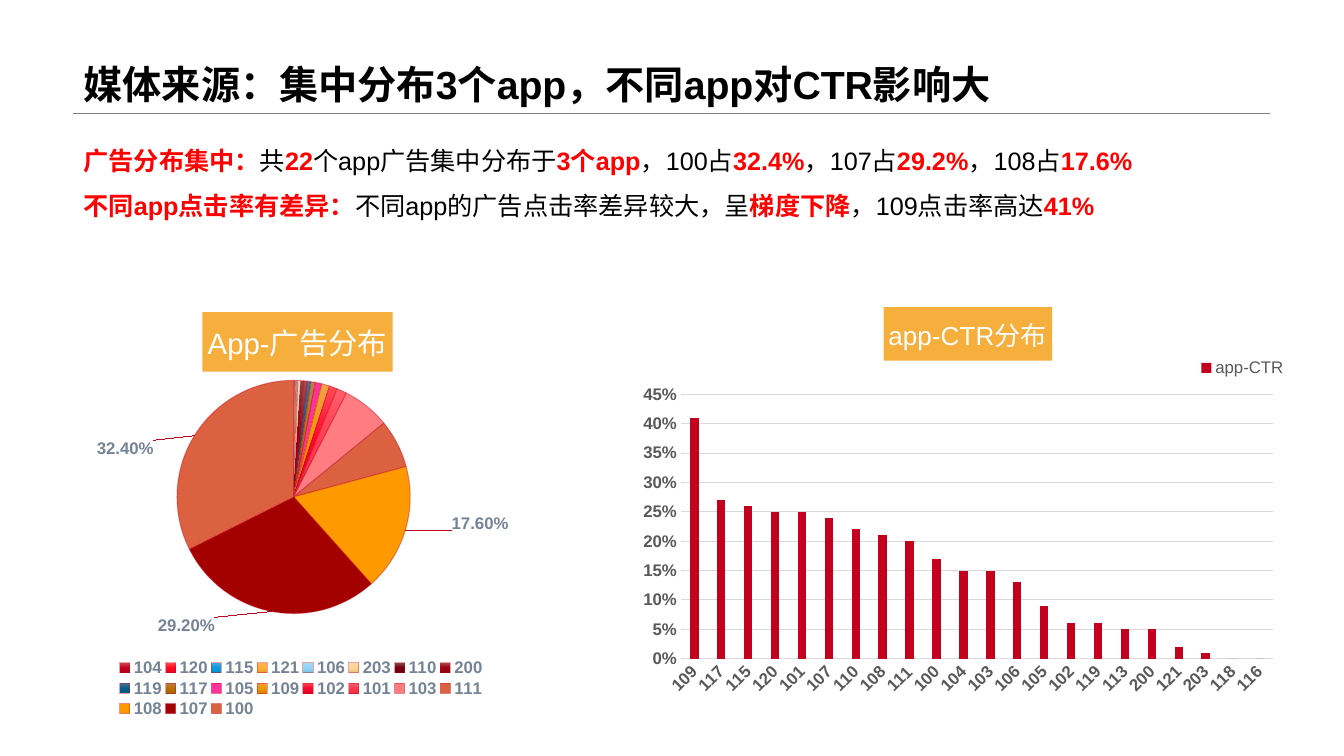
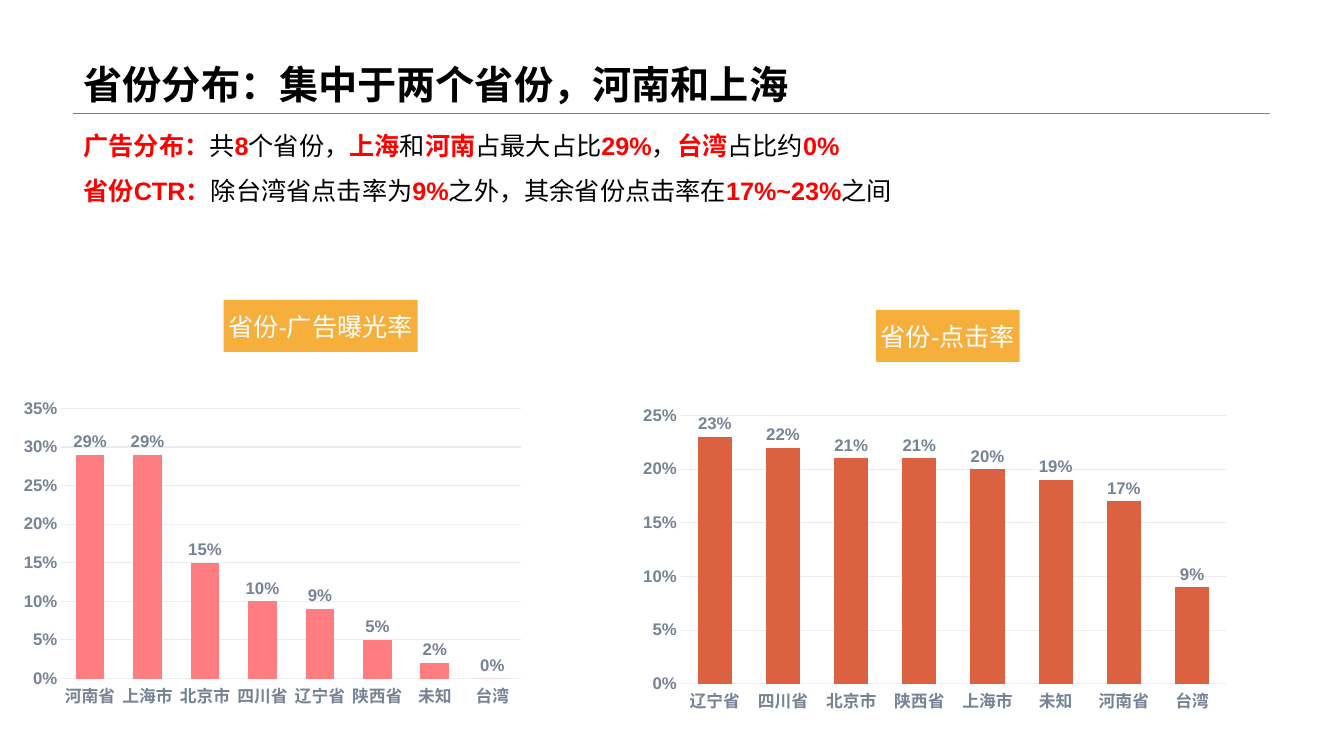
import copy

import pptx
import pptx.chart.data
import pptx.dml.color
import pptx.enum.chart
import pptx.enum.lang
import pptx.enum.shapes
import pptx.enum.text
import pptx.oxml
import pptx.oxml.ns
import pptx.util

RGB = pptx.dml.color.RGBColor
BLACK = RGB(0x00, 0x00, 0x00)
WHITE = RGB(0xFF, 0xFF, 0xFF)
RED = RGB(0xFF, 0x00, 0x00)
RULE_GRAY = RGB(0x80, 0x80, 0x80)
AMBER = RGB(0xF6, 0xAE, 0x3C)
CRIMSON = RGB(0xC4, 0x00, 0x1F)
PINK = RGB(0xFF, 0x7C, 0x80)
RUST = RGB(0xDC, 0x61, 0x40)
SLATE = RGB(0x76, 0x83, 0x95)
DARK_GRAY = RGB(0x59, 0x59, 0x59)
LIGHT_GRAY = RGB(0xD9, 0xD9, 0xD9)
PALE_GRAY = RGB(0xEA, 0xEC, 0xEF)

FONT_NAME = "Arial"
EMU_PER_PX = 9525
SLIDE_SIZE = (1280, 720)
TITLE_BOX = (70, 0, 1140, 108)

APP_SHARES = {
    "104": 0, "120": 0.001, "115": 0.001, "121": 0.002, "106": 0.002,
    "203": 0.004, "110": 0.004, "200": 0.005, "119": 0.005, "117": 0.006,
    "105": 0.009, "109": 0.011, "102": 0.011, "101": 0.014, "103": 0.066,
    "111": 0.067, "108": 0.176, "107": 0.292, "100": 0.324,
}
APP_COLORS = [
    "CC4B4F C4001F AE001C", "FF4C52 FF0A24 E5071E", "4DA5E0 0E9CE1 048ED0",
    "F8B75D FEB033 E59D2A", "A3DAF6 90D6F8 7AC0E2", "FCDBA6 FFD693 E5BF80",
    "864B4C 760013 690011", "AA4B4C 9F0011 8D000F", "4C7191 095E87 03557D",
    "BA804B B67101 A36400", "FF3399", "EFA04B F19600 D68500",
    "FF4B55 FF042C E50125", "FF5E6B FF3B50 E53245", "FF7C80", "DC6140",
    "FF9900", "A40000", "DC6140",
]
SHARE_LABEL_OFFSETS = {"108": (0.08, -0.04), "107": (-0.11, 0), "100": (-0.07, 0.06)}
APP_CTR = {
    "109": 0.41, "117": 0.27, "115": 0.26, "120": 0.25, "101": 0.25,
    "107": 0.24, "110": 0.22, "108": 0.21, "111": 0.2, "100": 0.17,
    "104": 0.15, "103": 0.15, "106": 0.13, "105": 0.09, "102": 0.06,
    "119": 0.06, "113": 0.05, "200": 0.05, "121": 0.02, "203": 0.01,
    "118": 0, "116": 0,
}
PROVINCE_SHARES = {
    "河南省": 0.29, "上海市": 0.29, "北京市": 0.15, "四川省": 0.1,
    "辽宁省": 0.09, "陕西省": 0.05, "未知": 0.02, "台湾": 0,
}
PROVINCE_CTR = {
    "辽宁省": 0.23, "四川省": 0.22, "北京市": 0.21, "陕西省": 0.21,
    "上海市": 0.2, "未知": 0.19, "河南省": 0.17, "台湾": 0.09,
}


def px(*lengths):
    return [pptx.util.Emu(length * EMU_PER_PX) for length in lengths]


def style_font(font, size, color, bold=False):
    font.name = FONT_NAME
    font.size = pptx.util.Pt(size)
    font.bold = bold
    font.color.rgb = color
    font.language_id = pptx.enum.lang.MSO_LANGUAGE_ID.SIMPLIFIED_CHINESE


def style_line(line, color, width=0.75):
    line.color.rgb = color
    line.width = pptx.util.Pt(width)


def add_titled_slide(presentation, text):
    slide = presentation.slides.add_slide(presentation.slide_layouts[5])
    title = slide.shapes.title
    title.left, title.top, title.width, title.height = px(*TITLE_BOX)
    frame = title.text_frame
    frame.text = text
    frame.word_wrap = True
    frame.auto_size = pptx.enum.text.MSO_AUTO_SIZE.NONE
    frame.vertical_anchor = pptx.enum.text.MSO_ANCHOR.BOTTOM
    paragraph = frame.paragraphs[0]
    paragraph.alignment = pptx.enum.text.PP_ALIGN.LEFT
    paragraph.line_spacing = 0.9
    style_font(paragraph.runs[0].font, 28, BLACK, True)

    left, top, width, height = TITLE_BOX
    bottom = top + height
    rule = slide.shapes.add_connector(
        pptx.enum.shapes.MSO_CONNECTOR.STRAIGHT, *px(left, bottom, left + width, bottom))
    style_line(rule.line, RULE_GRAY, 0.25)
    properties = rule._element.spPr
    properties.append(properties.makeelement(pptx.oxml.ns.qn("a:effectLst"), {}))
    return slide


def add_findings(slide, box, findings):
    frame = slide.shapes.add_textbox(*px(*box)).text_frame
    frame.word_wrap = True
    for index, (line_spacing, phrases) in enumerate(findings):
        paragraph = frame.add_paragraph() if index else frame.paragraphs[0]
        paragraph.line_spacing = line_spacing
        for position, phrase in enumerate(phrases):
            emphasized = position % 2 == 0
            run = paragraph.add_run()
            run.text = phrase
            style_font(run.font, 18, RED if emphasized else BLACK, emphasized)


def set_layout(parent, index, x, y, width=None, height=None, inner=False, absolute=True):
    for existing in parent.findall(pptx.oxml.ns.qn("c:layout")):
        parent.remove(existing)
    settings = [("layoutTarget", "inner")] if inner else []
    if absolute:
        settings += [("xMode", "edge"), ("yMode", "edge")]
    settings += [("x", x), ("y", y)]
    if width is not None:
        settings += [("w", width), ("h", height)]
    items = "".join(f'<c:{name} val="{value}"/>' for name, value in settings)
    layout = pptx.oxml.parse_xml(
        f'<c:layout {pptx.oxml.ns.nsdecls("c")}><c:manualLayout>{items}'
        "</c:manualLayout></c:layout>")
    parent.insert(index, layout)


def add_chart(slide, kind, box, data, series_name, number_format, plot_layout):
    chart_data = pptx.chart.data.CategoryChartData(number_format=number_format)
    chart_data.categories = list(data)
    chart_data.add_series(series_name, list(data.values()))
    chart = slide.shapes.add_chart(kind, *px(*box), chart_data).chart
    style_font(chart.font, 10, BLACK)
    chart.has_legend = False
    set_layout(chart._chartSpace.chart.plotArea, 0, *plot_layout, inner=True)
    return chart


def add_chart_title(chart, text, size, x, y):
    chart.has_title = True
    title = chart.chart_title
    title.text_frame.text = text
    style_font(title.text_frame.paragraphs[0].runs[0].font, size, WHITE)
    title.format.fill.solid()
    title.format.fill.fore_color.rgb = AMBER
    set_layout(title._element, 1, x, y)


def add_legend(chart, color, bold, layout):
    chart.has_legend = True
    legend = chart.legend
    legend.position = pptx.enum.chart.XL_LEGEND_POSITION.BOTTOM
    legend.include_in_layout = False
    style_font(legend.font, 12, color, bold)
    set_layout(legend._element, 1, *layout)


def fill_slice(fill, colors):
    if len(colors) == 1:
        fill.solid()
        fill.fore_color.rgb = colors[0]
        return
    fill.gradient()
    fill.gradient_angle = 270
    first_stop = fill.gradient_stops[0]._gs
    first_stop.addnext(copy.deepcopy(first_stop))
    for stop, color, position in zip(fill.gradient_stops, colors, (0, 0.5, 1)):
        stop.color.rgb = color
        stop.position = position


def add_share_pie(slide, box, plot_layout):
    chart = add_chart(slide, pptx.enum.chart.XL_CHART_TYPE.PIE, box, APP_SHARES,
                      "Series 1", "0.00%", plot_layout)
    series = chart.plots[0].series[0]
    style_line(series.format.line, CRIMSON)
    series.data_labels.show_value = False
    for index, (app, colors) in enumerate(zip(APP_SHARES, APP_COLORS)):
        point = series.points[index]
        fill_slice(point.format.fill, [RGB.from_string(color) for color in colors.split()])
        style_line(point.format.line, CRIMSON)
        if app in SHARE_LABEL_OFFSETS:
            label = point.data_label
            style_font(label.font, 12, SLATE, True)
            label.position = pptx.enum.chart.XL_LABEL_POSITION.OUTSIDE_END
            element = series.data_labels._element.xpath(f"c:dLbl[c:idx/@val={index}]")[0]
            set_layout(element, 1, *SHARE_LABEL_OFFSETS[app], absolute=False)
    for color in series._element.xpath(".//c:dPt//a:ln//a:srgbClr"):
        color.append(color.makeelement(pptx.oxml.ns.qn("a:alpha"), {"val": "37000"}))
    return chart


def add_rate_columns(slide, box, data, color, maximum, plot_layout, series_name="Series 1",
                     text_color=SLATE, grid_color=PALE_GRAY, gap=100, overlap=-24,
                     rotation=0, labeled=True):
    chart = add_chart(slide, pptx.enum.chart.XL_CHART_TYPE.COLUMN_CLUSTERED, box, data,
                      series_name, "0%", plot_layout)
    plot = chart.plots[0]
    plot.vary_by_categories = False
    plot.gap_width = gap
    plot.overlap = overlap
    series = plot.series[0]
    series.format.fill.solid()
    series.format.fill.fore_color.rgb = color

    for axis in (chart.category_axis, chart.value_axis):
        axis.major_tick_mark = pptx.enum.chart.XL_TICK_MARK.NONE
        axis.minor_tick_mark = pptx.enum.chart.XL_TICK_MARK.NONE
        style_font(axis.tick_labels.font, 12, text_color, True)
    category_axis = chart.category_axis
    style_line(category_axis.format.line, grid_color)
    category_axis._element.xpath("c:txPr/a:bodyPr")[0].set("rot", str(rotation * 60000))

    value_axis = chart.value_axis
    value_axis.minimum_scale = 0
    value_axis.maximum_scale = maximum
    value_axis.major_unit = 0.05
    value_axis.tick_labels.number_format = "0%"
    value_axis.tick_labels.number_format_is_linked = False
    value_axis.format.line.fill.background()
    style_line(value_axis.major_gridlines.format.line, grid_color)

    if labeled:
        labels = series.data_labels
        labels.show_value = True
        labels.number_format = "0%"
        labels.number_format_is_linked = False
        labels.position = pptx.enum.chart.XL_LABEL_POSITION.OUTSIDE_END
        style_font(labels.font, 12, text_color, True)
    return chart


def build_app_slide(presentation):
    slide = add_titled_slide(presentation, "媒体来源：集中分布3个app，不同app对CTR影响大")
    pie = add_share_pie(slide, (43, 285, 483, 405), (0.26, 0.19, 0.46, 0.55))
    add_chart_title(pie, "App-广告分布", 21, 0.31, 0.03)
    add_legend(pie, SLATE, True, (0.14, 0.84, 0.73, 0.15))
    add_findings(slide, (70, 119, 1163, 97), [
        (1.5, ["广告分布集中：", "共", "22", "个app广告集中分布于", "3个app", "，100占",
               "32.4%", "，107占", "29.2%", "，108占", "17.6%"]),
        (1.5, ["不同app点击率有差异：", "不同app的广告点击率差异较大，呈", "梯度下降",
               "，109点击率高达", "41%"]),
    ])
    columns = add_rate_columns(
        slide, (601, 271, 633, 429), APP_CTR, CRIMSON, 0.45, (0.075, 0.244, 0.891, 0.587),
        series_name="app-CTR", text_color=DARK_GRAY, grid_color=LIGHT_GRAY,
        gap=219, overlap=-27, rotation=-45, labeled=False)
    add_chart_title(columns, "app-CTR分布", 18.6, 0.38, 0.05)
    add_legend(columns, DARK_GRAY, False, (0.85, 0.16, 0.14, 0.05))


def build_province_slide(presentation):
    slide = add_titled_slide(presentation, "省份分布：集中于两个省份，河南和上海")
    shares = add_rate_columns(slide, (15, 269, 550, 417), PROVINCE_SHARES, PINK, 0.35,
                              (0.079, 0.288, 0.796, 0.617))
    add_chart_title(shares, "省份-广告曝光率", 18, 0.36, 0.04)
    rates = add_rate_columns(slide, (595, 282, 614, 438), PROVINCE_CTR, RUST, 0.25,
                             (0.087, 0.26, 0.846, 0.583))
    add_chart_title(rates, "省份-点击率", 18, 0.39, 0.03)
    add_findings(slide, (70, 119, 1140, 83), [
        (1, ["广告分布：", "共", "8", "个省份，", "上海", "和", "河南", "占最大占比", "29%",
             "，", "台湾", "占比约", "0%"]),
        (1.5, ["省份CTR：", "除台湾省点击率为", "9%", "之外，其余省份点击率在",
               "17%~23%", "之间"]),
    ])


def main():
    presentation = pptx.Presentation()
    presentation.slide_width, presentation.slide_height = px(*SLIDE_SIZE)
    build_app_slide(presentation)
    build_province_slide(presentation)
    presentation.save("out.pptx")


if __name__ == "__main__":
    main()
